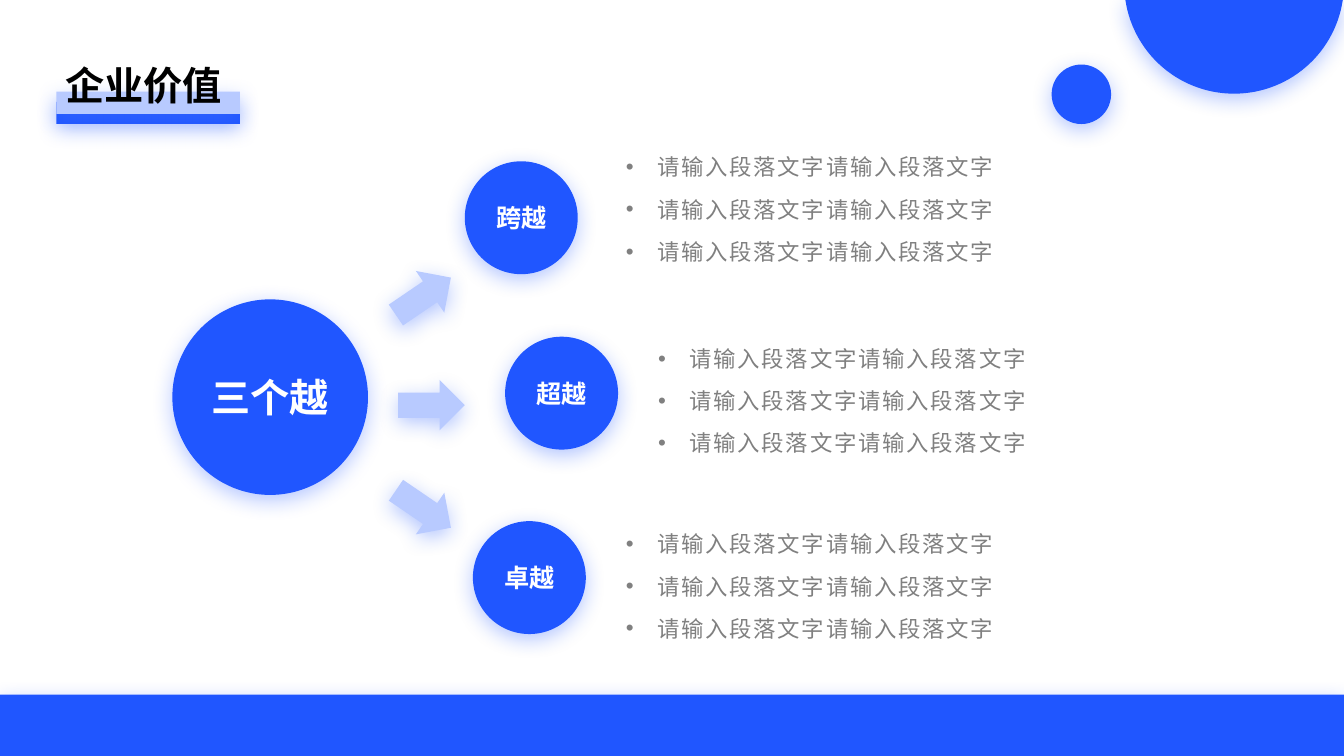
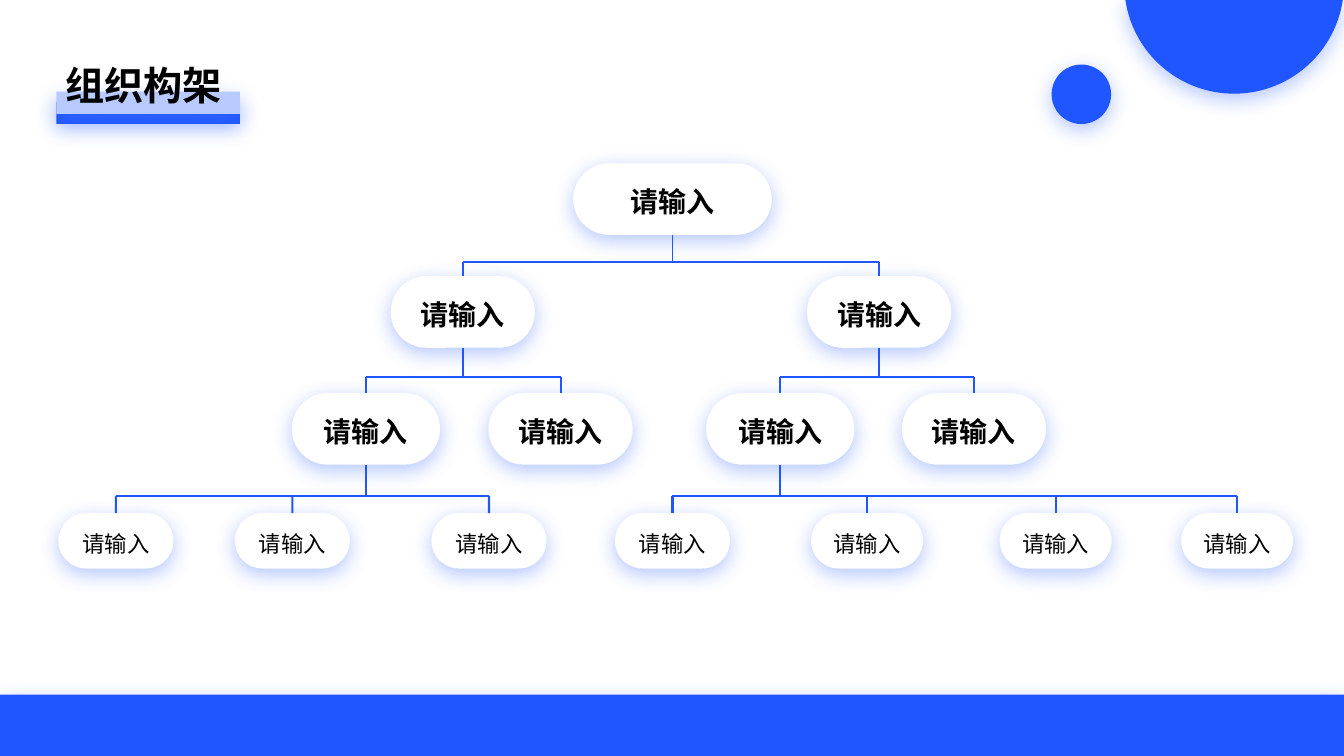
import math

from lxml import etree
from pptx import Presentation
from pptx.dml.color import RGBColor
from pptx.enum.shapes import MSO_CONNECTOR, MSO_SHAPE
from pptx.enum.text import MSO_ANCHOR, PP_ALIGN
from pptx.oxml.ns import qn
from pptx.util import Inches, Pt

RECT = MSO_SHAPE.RECTANGLE
OVAL = MSO_SHAPE.OVAL
PILL = MSO_SHAPE.ROUNDED_RECTANGLE
ARROW = MSO_SHAPE.RIGHT_ARROW
STRAIGHT = MSO_CONNECTOR.STRAIGHT
MIDDLE = MSO_ANCHOR.MIDDLE
LEFT, CENTER = PP_ALIGN.LEFT, PP_ALIGN.CENTER
TOP_SIDE, BOTTOM_SIDE = 0, 2

COLORS = {
    "blue": "2056FF",
    "pale": "B8CAFF",
    "glow": "4A78FF",
    "white": "FFFFFF",
    "black": "000000",
    "gray": "808080",
}
BODY_FONT = "Noto Sans CJK SC"
TITLE_FONT = "Arial"

# Organisation chart: top, height, text size, bold, and line below each level
LEVELS = [
    (1.62, 0.71, 20, True, 2.6),
    (2.74, 0.71, 20, True, 3.74),
    (3.9, 0.71, 20, True, 4.92),
    (5.09, 0.55, 16, False, None),
]
# Each node: centre, width, children
ORGANISATION = (6.67, 1.97, [
    (4.59, 1.43, [
        (3.63, 1.47, [(1.15, 1.14, []), (2.9, 1.14, []), (4.85, 1.14, [])]),
        (5.56, 1.43, []),
    ]),
    (8.72, 1.43, [
        (7.74, 1.47, [(6.67, 1.14, []), (8.6, 1.11, []),
                      (10.47, 1.11, []), (12.27, 1.11, [])]),
        (9.66, 1.43, []),
    ]),
])


def rgb(name):
    return RGBColor.from_string(COLORS[name])


class Deck:
    """Holds the style, the presentation and the current slide."""

    def __init__(self):
        self.prs = Presentation()
        self.prs.slide_width = Inches(13.33)
        self.prs.slide_height = Inches(7.5)
        self.slide = None

    def add_slide(self, title):
        self.slide = self.prs.slides.add_slide(self.prs.slide_layouts[6])
        self.shape(RECT, 0, 6.89, 13.33, 0.61)
        self.shape(RECT, 0.56, 1.01, 1.82, 0.22)
        self.shape(RECT, 0.56, 0.91, 1.82, 0.22, "pale", glow="glow")
        self.shape(OVAL, 10.43, 0.64, 0.59, 0.59)
        self.corner_disc(12.24, -0.16, 1.09)
        frame = self.text_box(0.55, 0.61, 5.56, 0.52)
        frame.vertical_anchor = MIDDLE
        heading = frame.paragraphs[0]
        heading.line_spacing = 0.9
        self.set_text(heading, title, 28, "black", True, LEFT, TITLE_FONT)

    def finish(self, shape, fill, glow="blue"):
        """Plain fill, no outline, and the soft coloured shadow."""
        shape.fill.solid()
        shape.fill.fore_color.rgb = rgb(fill)
        shape.line.fill.background()
        shape.shadow.inherit = False
        effects = shape._element.spPr.find(qn("a:effectLst"))
        shadow = etree.SubElement(
            effects, qn("a:outerShdw"), blurRad=str(Pt(15)), dist=str(Pt(4)),
            dir="5400000", algn="t", rotWithShape="0")
        color = etree.SubElement(shadow, qn("a:srgbClr"), val=COLORS[glow])
        etree.SubElement(color, qn("a:alpha"), val="32000")

    def shape(self, kind, left, top, width, height, fill="blue", glow="blue"):
        shape = self.slide.shapes.add_shape(
            kind, Inches(left), Inches(top), Inches(width), Inches(height))
        self.finish(shape, fill, glow)
        return shape

    def corner_disc(self, center_x, center_y, radius, steps=60):
        """The part of a circle that lies below the slide's top edge."""
        start = math.asin(-center_y / radius)
        sweep = math.pi - 2 * start
        points = []
        for step in range(steps + 1):
            angle = start + sweep * step / steps
            points.append((Inches(center_x + radius * math.cos(angle)),
                           Inches(center_y + radius * math.sin(angle))))
        outline = self.slide.shapes.build_freeform(*points[0], scale=1.0)
        outline.add_line_segments(points[1:], close=True)
        self.finish(outline.convert_to_shape(), "blue")

    def set_text(self, paragraph, text, size, color, bold=False, align=CENTER,
                 face=BODY_FONT, spacing=0):
        paragraph.text = text
        paragraph.alignment = align
        font = paragraph.font
        font.size = Pt(size)
        font.bold = bold
        font.name = face
        font.color.rgb = rgb(color)
        defaults = paragraph._p.pPr.find(qn("a:defRPr"))
        if spacing:
            defaults.set("spc", str(round(spacing * 100)))
        latin = defaults.find(qn("a:latin"))
        latin.addnext(etree.Element(qn("a:ea"), typeface=BODY_FONT))

    def label(self, shape, text, size, color, bold):
        frame = shape.text_frame
        frame.vertical_anchor = MIDDLE
        self.set_text(frame.paragraphs[0], text, size, color, bold)

    def text_box(self, left, top, width, height):
        frame = self.slide.shapes.add_textbox(
            Inches(left), Inches(top), Inches(width), Inches(height)).text_frame
        frame.word_wrap = True
        return frame

    def circle(self, left, top, diameter, text, size):
        disc = self.shape(OVAL, left, top, diameter, diameter)
        self.label(disc, text, size, "white", True)

    def arrow(self, left, top, rotation):
        self.shape(ARROW, left, top, 0.66, 0.5, "pale").rotation = rotation

    def bullets(self, left, top, lines):
        frame = self.text_box(left, top, 4.23, 1.31)
        for index, line in enumerate(lines):
            item = frame.paragraphs[0] if index == 0 else frame.add_paragraph()
            item.line_spacing = Pt(30.2)
            props = item._p.get_or_add_pPr()
            props.set("marL", str(Inches(0.31)))
            props.set("indent", str(-Inches(0.31)))
            etree.SubElement(props, qn("a:buFont"), typeface="Arial")
            etree.SubElement(props, qn("a:buChar"), char="•")
            self.set_text(item, line, 16, "gray", align=LEFT, spacing=1.3)

    def line(self, x1, y1, x2, y2, weight):
        line = self.slide.shapes.add_connector(
            STRAIGHT, Inches(x1), Inches(y1), Inches(x2), Inches(y2))
        line.line.color.rgb = rgb("blue")
        line.line.width = Pt(weight)
        etree.SubElement(line._element.spPr, qn("a:effectLst"))
        return line

    def branch(self, node, depth=0):
        """Draw a node, everything below it and the joining lines."""
        center, width, children = node
        top, height, size, bold, bus = LEVELS[depth]
        pill = self.shape(PILL, center - width / 2, top, width, height, "white")
        pill.adjustments[0] = 0.5
        pill.text_frame.margin_bottom = 0
        self.label(pill, "请输入", size, "black", bold)
        if children:
            trunk = self.line(center, top + height, center, bus, 1.25)
            trunk.begin_connect(pill, BOTTOM_SIDE)
            self.line(children[0][0], bus, children[-1][0], bus, 1.25)
        for child in children:
            child_pill = self.branch(child, depth + 1)
            drop = self.line(child[0], bus, child[0], LEVELS[depth + 1][0], 1.5)
            drop.end_connect(child_pill, TOP_SIDE)
        return pill


def main():
    deck = Deck()

    deck.add_slide("企业价值")
    deck.circle(1.71, 2.97, 1.94, "三个越", 28)
    for left, top, value in [(4.61, 1.6, "跨越"), (5.01, 3.34, "超越"),
                             (4.69, 5.17, "卓越")]:
        deck.circle(left, top, 1.12, value, 18)
    for left, top, rotation in [(3.87, 2.69, -34.3), (3.95, 3.77, 0),
                                (3.87, 4.8, 34.3)]:
        deck.arrow(left, top, rotation)
    for left, top in [(6.11, 1.32), (6.43, 3.22), (6.11, 5.06)]:
        deck.bullets(left, top, ["请输入段落文字请输入段落文字"] * 3)

    deck.add_slide("组织构架")
    deck.branch(ORGANISATION)

    deck.prs.save("out.pptx")


if __name__ == "__main__":
    main()
